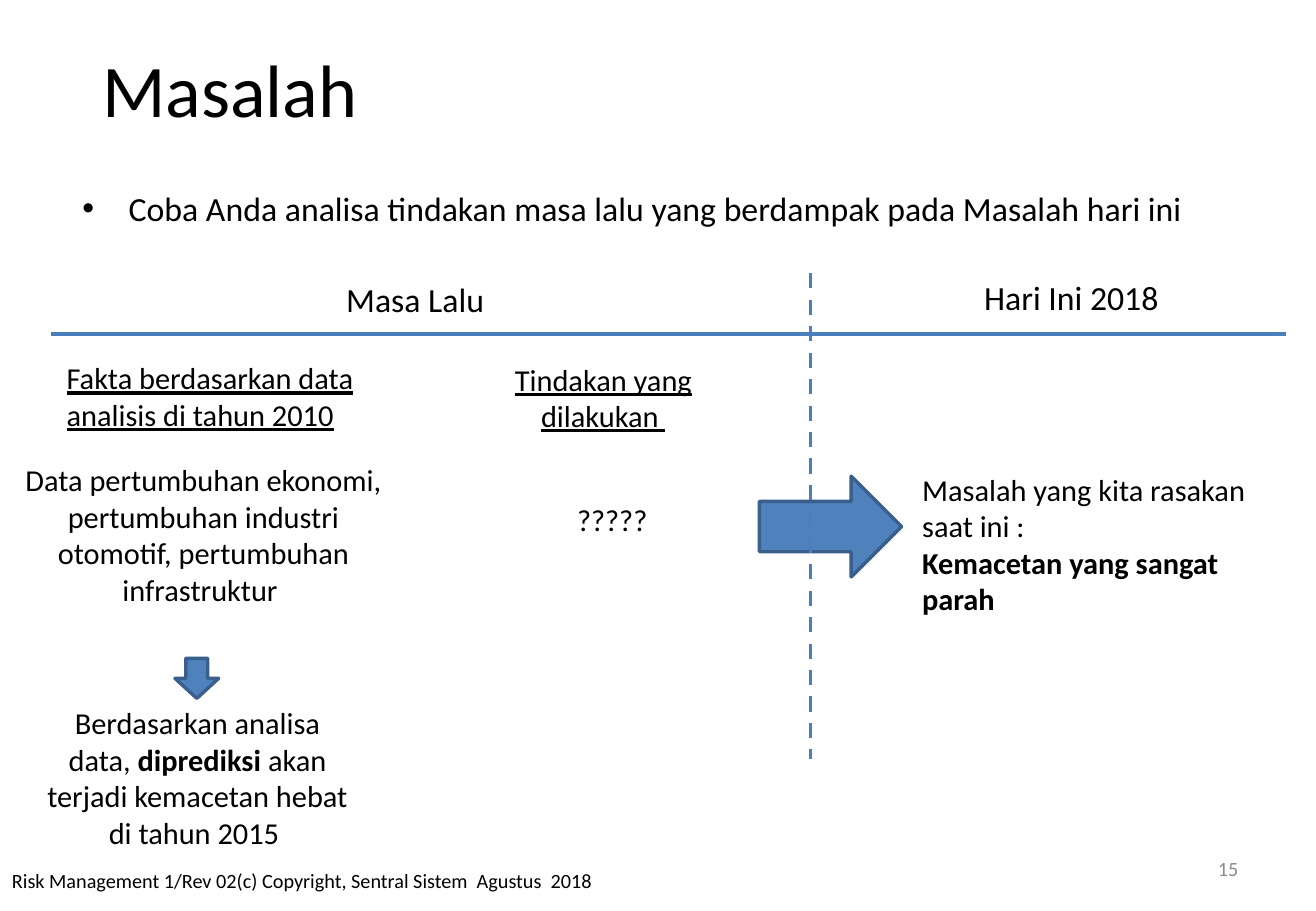
import pptx
import pptx.dml.color
import pptx.enum.dml
import pptx.enum.shapes
import pptx.enum.text
import pptx.oxml.ns
import pptx.util
from lxml import etree

Inches = pptx.util.Inches
Pt = pptx.util.Pt
ALIGN = pptx.enum.text.PP_ALIGN
ANCHOR = pptx.enum.text.MSO_ANCHOR
SHAPE = pptx.enum.shapes.MSO_SHAPE
qn = pptx.oxml.ns.qn

FONT = "Calibri"
COLORS = {
    "text": "000000",
    "muted": "8C8C8C",
    "arrow": "4F81BD",
    "arrow_edge": "3A5F8C",
    "rule": "4B7EBC",
}


def rgb(name):
    return pptx.dml.color.RGBColor.from_string(COLORS[name])


def fill_text(tf, paragraphs, size, align=ALIGN.LEFT, color="text",
              underline=None, anchor=ANCHOR.TOP, wrap=True):
    """Write paragraphs, each a list of (text, bold) runs."""
    tf.word_wrap = wrap
    tf.vertical_anchor = anchor
    for i, runs in enumerate(paragraphs):
        p = tf.paragraphs[0] if i == 0 else tf.add_paragraph()
        p.alignment = align
        for text, bold in runs:
            r = p.add_run()
            r.text = text
            r.font.name = FONT
            r.font.size = Pt(size)
            r.font.bold = bold
            r.font.underline = underline
            r.font.color.rgb = rgb(color)


def add_text(s, box, paragraphs, size=18, **style):
    sp = s.shapes.add_textbox(*map(Inches, box))
    if isinstance(paragraphs, str):
        paragraphs = [[(paragraphs, False)]]
    fill_text(sp.text_frame, paragraphs, size, **style)
    return sp


def add_arrow(s, kind, box):
    sp = s.shapes.add_shape(kind, *map(Inches, box))
    sp.shadow.inherit = False
    sp.fill.solid()
    sp.fill.fore_color.rgb = rgb("arrow")
    sp.line.color.rgb = rgb("arrow_edge")
    sp.line.width = Pt(2)


def add_rule(s, x1, y1, x2, y2, dashed=False):
    line = s.shapes.add_connector(
        pptx.enum.shapes.MSO_CONNECTOR.STRAIGHT, *map(Inches, (x1, y1, x2, y2)))
    line.line.color.rgb = rgb("rule")
    line.line.width = Pt(2.25)
    if dashed:
        line.line.dash_style = pptx.enum.dml.MSO_LINE.DASH
    etree.SubElement(line._element.spPr, qn("a:effectLst"))


def add_title(s, box, text):
    title = s.shapes.title
    title.left, title.top, title.width, title.height = map(Inches, box)
    fill_text(title.text_frame, [[(text, False)]], 44, anchor=ANCHOR.MIDDLE)


def add_bullet(s, box, text):
    sp = add_text(s, box, text, size=20)
    pPr = sp.text_frame.paragraphs[0]._p.get_or_add_pPr()
    pPr.set("marL", str(Inches(0.38)))
    pPr.set("indent", str(-Inches(0.38)))
    etree.SubElement(pPr, qn("a:buFont")).set("typeface", "Arial")
    etree.SubElement(pPr, qn("a:buChar")).set("char", "•")


def add_timeline(s, x, y, w, h):
    """Heading rule and dashed divider between past and present."""
    add_rule(s, x + 6.25, y, x + 6.25, y + h, dashed=True)
    add_rule(s, x, y + 0.5, x + w, y + 0.5)
    add_text(s, (x + 2.33, y, 1.35, 0.44), "Masa Lalu", size=20, wrap=False)
    add_text(s, (x + 7.58, y - 0.02, 1.71, 0.44), "Hari Ini 2018", size=20,
             wrap=False)


def add_facts(s, x, y):
    add_text(s, (x + 0.36, y, 2.98, 0.71),
             "Fakta berdasarkan data analisis di tahun 2010", underline=True)
    add_text(s, (x, y + 0.84, 3.17, 1.62),
             "Data pertumbuhan ekonomi, pertumbuhan industri otomotif, "
             "pertumbuhan infrastruktur ", align=ALIGN.CENTER)
    add_arrow(s, SHAPE.DOWN_ARROW, (x + 1.35, y + 2.51, 0.36, 0.33))
    add_text(s, (x + 0.18, y + 2.84, 2.71, 1.31),
             [[("Berdasarkan analisa data, ", False), ("diprediksi ", True),
               ("akan terjadi kemacetan hebat di tahun 2015 ", False)]],
             align=ALIGN.CENTER)


def add_actions(s, x, y):
    add_text(s, (x, y, 1.99, 0.71), "Tindakan yang dilakukan ",
             align=ALIGN.CENTER, underline=True)
    add_text(s, (x + 0.68, y + 1.16, 0.79, 0.4), "?????", wrap=False)


def add_problem(s, x, y):
    add_text(s, (x, y, 2.98, 1.31),
             [[("Masalah yang kita rasakan saat ini :", False)],
              [("Kemacetan yang sangat parah", True)]])


def add_footer(s, y):
    add_text(s, (0, y + 0.15, 6.42, 0.4),
             "Risk Management 1/Rev 02(c) Copyright, Sentral Sistem  Agustus  2018",
             size=12)
    add_text(s, (7.76, y, 2.53, 0.4), "15", size=12, align=ALIGN.RIGHT,
             color="muted", anchor=ANCHOR.MIDDLE)


def main():
    prs = pptx.Presentation()
    prs.slide_width, prs.slide_height = Inches(10.83), Inches(7.5)
    s = prs.slides.add_slide(prs.slide_layouts[5])
    add_title(s, (0.74, 0, 9.34, 1.45), "Masalah")
    add_bullet(s, (0.58, 1.5, 9.8, 0.67),
               "Coba Anda analisa tindakan masa lalu yang berdampak pada "
               "Masalah hari ini")
    add_arrow(s, SHAPE.RIGHT_ARROW, (6.25, 3.92, 1.17, 0.83))
    add_timeline(s, 0.42, 2.25, 10.16, 4)
    add_facts(s, 0.09, 2.91)
    add_actions(s, 3.97, 2.92)
    add_problem(s, 7.49, 3.83)
    add_footer(s, 6.95)
    prs.save("out.pptx")


if __name__ == "__main__":
    main()
